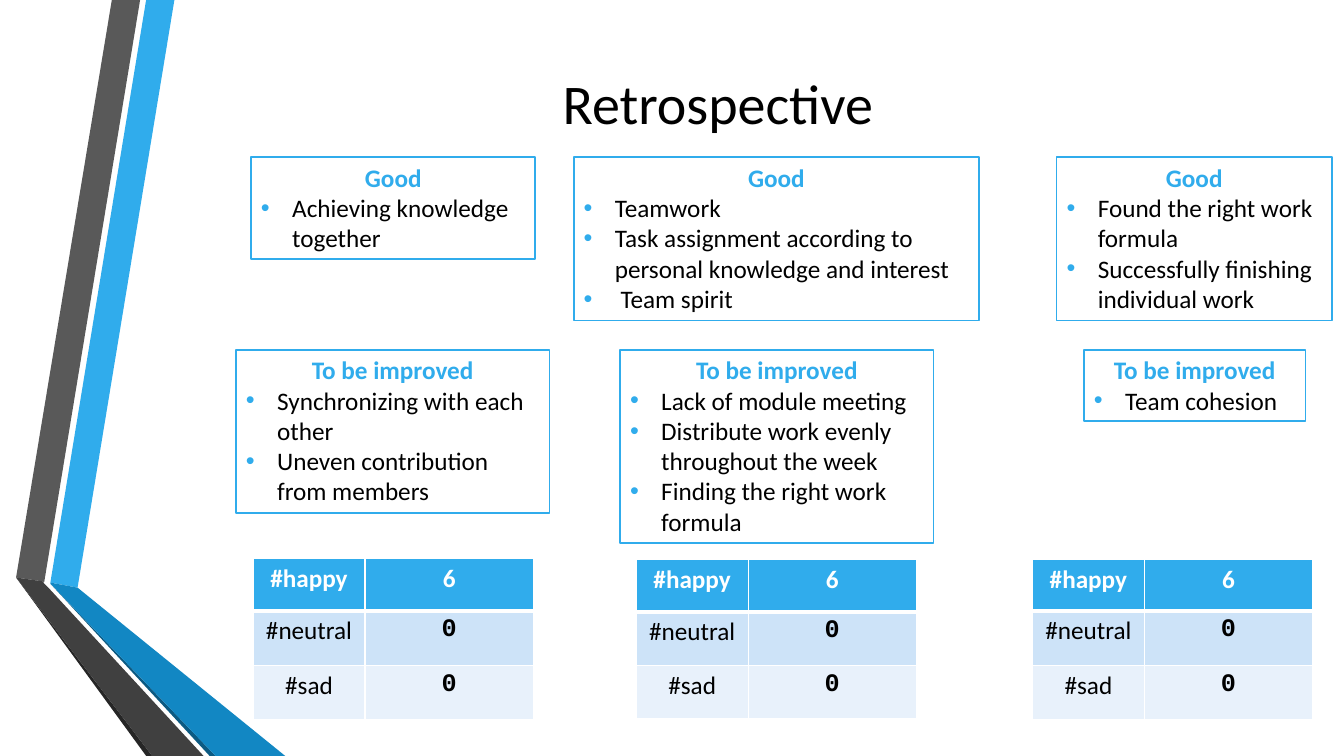
"""Build the Retrospective slide: three columns of notes above mood tables."""
from lxml import etree
from pptx import Presentation
from pptx.dml.color import RGBColor
from pptx.enum.shapes import MSO_SHAPE
from pptx.enum.text import MSO_ANCHOR, MSO_AUTO_SIZE, PP_ALIGN
from pptx.oxml.ns import qn
from pptx.util import Pt

RECTANGLE = MSO_SHAPE.RECTANGLE
MIDDLE, TOP = MSO_ANCHOR.MIDDLE, MSO_ANCHOR.TOP
CENTER, LEFT = PP_ALIGN.CENTER, PP_ALIGN.LEFT
NO_AUTOSIZE = MSO_AUTO_SIZE.NONE
PX = 9144
BLUE, WHITE, BLACK = "30ACEC", "FFFFFF", "000000"


def paint(target, color):
    """Give a fill a solid colour."""
    target.solid()
    target.fore_color.rgb = RGBColor.from_string(color)


def write(para, text, color, bold=False, size=18, font="Calibri", align=CENTER):
    """Add one formatted run to a paragraph."""
    para.alignment = align
    span = para.add_run()
    span.text = text
    span.font.name, span.font.size, span.font.bold = font, Pt(size), bold
    paint(span.font.fill, color)


deck = Presentation()
deck.slide_width, deck.slide_height = 1333 * PX, 750 * PX
page = deck.slides.add_slide(deck.slide_layouts[5])
paint(page.background.fill, WHITE)

ribbons = [
    (BLUE, [(50, 578), (77, 583), (173, 0), (145, 0)]),
    ("595959", [(139, 0), (111, 0), (16, 573), (44, 577)]),
    ("262626", [(16, 573), (145, 750), (151, 750)]),
    ("0C5A82", [(50, 579), (208, 750), (214, 750)]),
    ("1287C3", [(50, 579), (214, 750), (283, 750), (77, 583), (50, 578)]),
    ("404040", [(202, 750), (48, 583), (43, 578), (44, 577), (16, 573), (151, 750)]),
]
for color, points in ribbons:
    builder = page.shapes.build_freeform(*points[0], scale=PX)
    builder.add_line_segments(points[1:], close=True)
    ribbon = builder.convert_to_shape()
    ribbon.shadow.inherit = False
    paint(ribbon.fill, color)
    ribbon.line.fill.background()

title = page.shapes.title
title.left, title.top, title.width, title.height = 164 * PX, 5 * PX, 1096 * PX, 192 * PX
title.text_frame.vertical_anchor = MIDDLE
title.text_frame.auto_size = NO_AUTOSIZE
write(title.text_frame.paragraphs[0], "Retrospective", BLACK, size=40)

notes = [
    (249, 156, 282, 101, "Good", ["Achieving knowledge together"]),
    (569, 156, 402, 162, "Good", [
        "Teamwork",
        "Task assignment according to personal knowledge and interest",
        " Team spirit"]),
    (1048, 156, 273, 162, "Good", [
        "Found the right work formula", "Successfully finishing individual work"]),
    (234, 347, 311, 162, "To be improved", [
        "Synchronizing with each other", "Uneven contribution from members"]),
    (615, 347, 311, 192, "To be improved", [
        "Lack of module meeting",
        "Distribute work evenly throughout the week",
        "Finding the right work formula"]),
    (1075, 347, 220, 71, "To be improved", ["Team cohesion"]),
]
for left, top, width, height, heading, points in notes:
    box = page.shapes.add_shape(RECTANGLE, left * PX, top * PX, width * PX, height * PX)
    box.shadow.inherit = False
    paint(box.fill, WHITE)
    paint(box.line.fill, BLUE)
    box.line.width = Pt(1.25)
    frame = box.text_frame
    frame.word_wrap = True
    frame.vertical_anchor = TOP
    write(frame.paragraphs[0], heading, BLUE, bold=True)
    for point in points:
        para = frame.add_paragraph()
        write(para, point, BLACK, align=LEFT)
        props = para._p.get_or_add_pPr()
        props.set("marL", str(31 * PX))
        props.set("indent", str(-31 * PX))
        bullet_color = etree.SubElement(props, qn("a:buClr"))
        etree.SubElement(bullet_color, qn("a:srgbClr"), val=BLUE)
        etree.SubElement(props, qn("a:buFont"), typeface="Arial")
        etree.SubElement(props, qn("a:buChar"), char="•")

moods = [
    ("#happy", "6", BLUE, WHITE, "Calibri"),
    ("#neutral", "0", "CDE3F8", BLACK, "Courier New"),
    ("#sad", "0", "E8F1FB", BLACK, "Courier New"),
]
tables = [(251, 554, (52, 54, 54)), (631, 555, (52, 53, 53)), (1024, 555, (51, 54, 54))]
for left, top, heights in tables:
    table = page.shapes.add_table(
        3, 2, left * PX, top * PX, 278 * PX, sum(heights) * PX).table
    table.columns[0].width, table.columns[1].width = 111 * PX, 167 * PX
    for row, (label, count, fill, ink, count_font) in enumerate(moods):
        table.rows[row].height = heights[row] * PX
        for column, (text, font) in enumerate([(label, "Calibri"), (count, count_font)]):
            cell = table.cell(row, column)
            props = cell._tc.get_or_add_tcPr()
            for side in "LRTB":
                thick = (row, side) in [(0, "B"), (1, "T")]
                border = etree.SubElement(
                    props, qn(f"a:ln{side}"), w=str(Pt(3 if thick else 1)))
                solid = etree.SubElement(border, qn("a:solidFill"))
                etree.SubElement(solid, qn("a:srgbClr"), val=WHITE)
            paint(cell.fill, fill)
            write(cell.text_frame.paragraphs[0], text, ink,
                  bold=row == 0 or column == 1, font=font)

deck.save("out.pptx")
